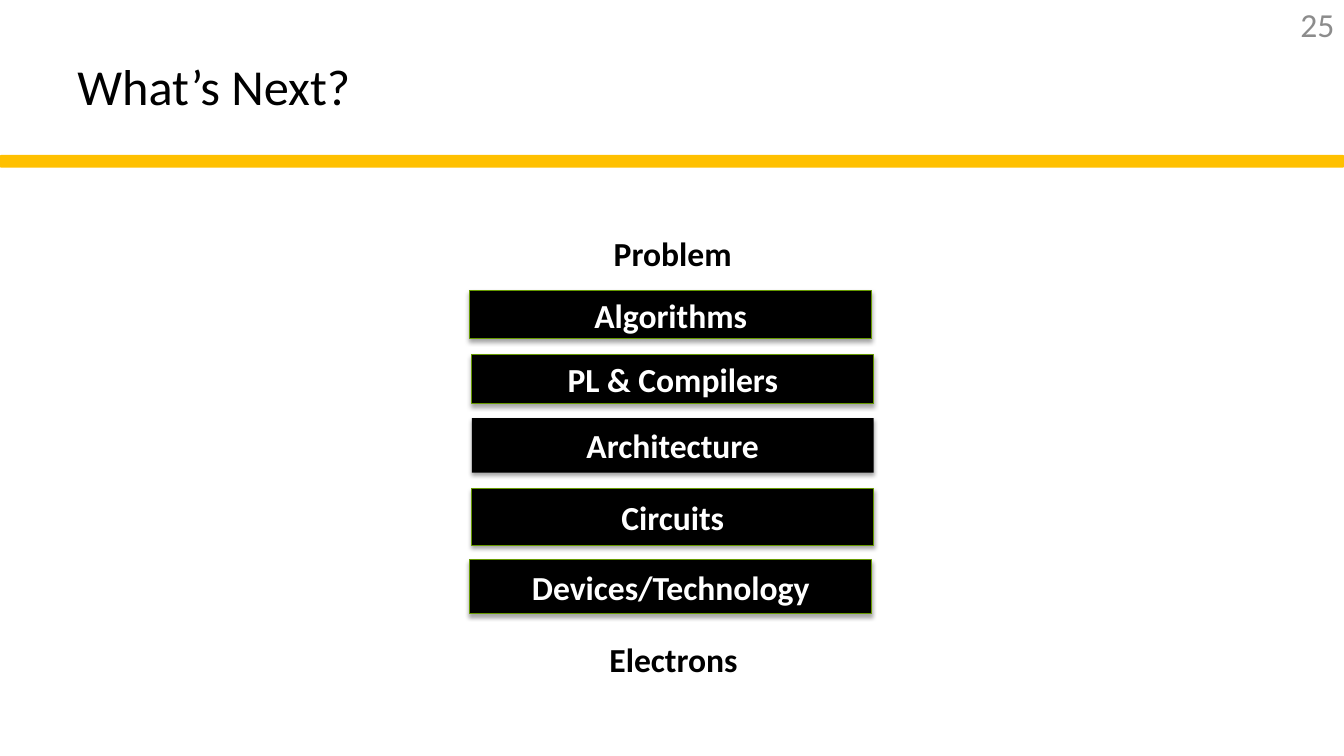
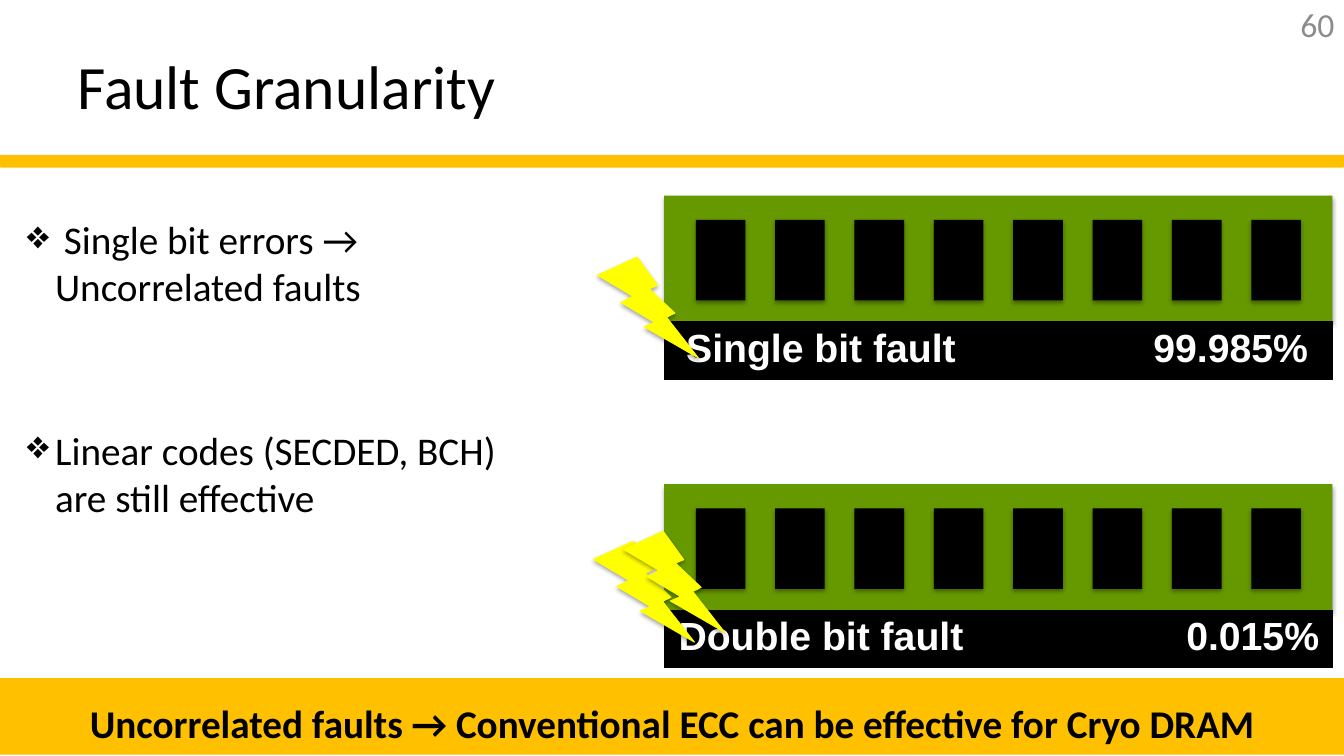
from typing import NamedTuple, Optional

from lxml import etree
from pptx import Presentation
from pptx.dml.color import RGBColor
from pptx.enum.shapes import MSO_SHAPE
from pptx.enum.text import MSO_ANCHOR, PP_ALIGN
from pptx.oxml.ns import qn
from pptx.util import Cm, Pt

RECTANGLE = MSO_SHAPE.RECTANGLE
ROUNDED = MSO_SHAPE.ROUNDED_RECTANGLE
BOLT = MSO_SHAPE.LIGHTNING_BOLT
TOP, MIDDLE = MSO_ANCHOR.TOP, MSO_ANCHOR.MIDDLE
LEFT, CENTER, RIGHT = PP_ALIGN.LEFT, PP_ALIGN.CENTER, PP_ALIGN.RIGHT

BLACK, WHITE, GREY = "000000", "FFFFFF", "8C8C8C"
GOLD, GREEN, YELLOW = "FFC000", "669900", "FFFF00"
PAGE_WIDTH, PAGE_HEIGHT = 33.87, 19.05


class Area(NamedTuple):
    """Left, top, width and height in centimetres."""
    left: float
    top: float
    width: float
    height: float


class Style(NamedTuple):
    size: float
    color: str = BLACK
    bold: bool = False
    font: str = "Calibri"


class Layer(NamedTuple):
    text: str
    left: float
    top: float
    height: float
    line: Optional[str] = GREEN


class Module(NamedTuple):
    top: float
    label: str
    share: str
    right_margin: float
    bolts: tuple[tuple[float, float], ...]


# Content
STACK_WIDTH = 10.13
STACK_ENDS = (
    Layer("Problem", 11.89, 5.69, 1.37),
    Layer("Electrons", 11.91, 15.93, 1.37),
)
STACK_LAYERS = (
    Layer("Algorithms", 11.84, 7.32, 1.22),
    Layer("PL & Compilers", 11.89, 8.94, 1.24),
    Layer("Architecture", 11.89, 10.54, 1.37, None),
    Layer("Circuits", 11.89, 12.32, 1.42),
    Layer("Devices/Technology", 11.84, 14.1, 1.37),
)
BULLETS = (
    (" Single bit errors → Uncorrelated faults", 0),
    ("Linear codes (SECDED, BCH) are still effective", 83),
)
MODULES = (
    Module(4.93, "Single bit fault", "99.985%", 0.62, ((15.06, 6.48),)),
    Module(12.2, "Double bit fault", "0.015%", 0.34,
           ((14.96, 13.64), (15.72, 13.39))),
)
BOARD_LEFT, BOARD_WIDTH, BOARD_HEIGHT = 16.74, 16.84, 3.18
CHIP_COUNT, CHIP_PITCH, CHIP_WIDTH, CHIP_HEIGHT = 8, 2.0, 1.25, 2.03
FAULT_COLUMNS, FAULT_HEIGHT = (7.9, 8.94), 1.45
BOLT_SIZE = 2.54


# Helpers
def rgb(color: str) -> RGBColor:
    return RGBColor.from_string(color)


def lengths(area: Area) -> list:
    return [Cm(value) for value in area]


def add_span(para, text: str, style: Style) -> None:
    span = para.add_run()
    span.text = text
    span.font.name = style.font
    span.font.size = Pt(style.size)
    span.font.bold = style.bold
    span.font.color.rgb = rgb(style.color)


def write(box, text: str, style: Style, align=LEFT) -> None:
    frame = box.text_frame
    frame.word_wrap = True
    frame.vertical_anchor = MIDDLE
    para = frame.paragraphs[0]
    para.alignment = align
    add_span(para, text, style)


def add_text(page, area: Area, text: str, style: Style, align=LEFT) -> None:
    write(page.shapes.add_textbox(*lengths(area)), text, style, align)


def add_shadow(shape) -> None:
    effects = shape._element.spPr.find(qn("a:effectLst"))
    shadow = etree.SubElement(effects, qn("a:outerShdw"), blurRad="40000",
                              dist="23000", dir="5400000", rotWithShape="0")
    color = etree.SubElement(shadow, qn("a:srgbClr"), val=BLACK)
    etree.SubElement(color, qn("a:alpha"), val="35000")


def add_block(page, kind, area: Area, fill: str, line: Optional[str] = None,
              line_width: float = 0.75, shadow: bool = True):
    shape = page.shapes.add_shape(kind, *lengths(area))
    shape.fill.solid()
    shape.fill.fore_color.rgb = rgb(fill)
    if line:
        shape.line.color.rgb = rgb(line)
        shape.line.width = Pt(line_width)
    else:
        shape.line.fill.background()
    shape.shadow.inherit = False
    if shadow:
        add_shadow(shape)
    return shape


def add_page(deck, title: str, title_size: float, number: str):
    """Blank page with the shared band, title and page number."""
    page = deck.slides.add_slide(deck.slide_layouts[6])
    add_block(page, ROUNDED, Area(0, 3.94, PAGE_WIDTH, 0.25), GOLD, GOLD, 2, False)
    add_text(page, Area(1.7, 0.56, 22.58, 3.18), title, Style(title_size))
    add_text(page, Area(32.08, 0, 1.8, 1.22), number, Style(24, GREY), RIGHT)
    return page


def add_bullets(page, area: Area) -> None:
    frame = page.shapes.add_textbox(*lengths(area)).text_frame
    frame.word_wrap = True
    frame.vertical_anchor = TOP
    for index, (text, space) in enumerate(BULLETS):
        para = frame.add_paragraph() if index else frame.paragraphs[0]
        properties = para._p.get_or_add_pPr()
        properties.set("marL", str(Cm(0.71)))
        properties.set("indent", str(Cm(-0.71)))
        etree.SubElement(properties, qn("a:buChar"), char="❖")
        if space:
            para.space_before = Pt(space)
        add_span(para, text, Style(28))


def add_cell_borders(cell) -> None:
    properties = cell._tc.get_or_add_tcPr()
    for side in ("lnL", "lnR", "lnT", "lnB"):
        border = etree.SubElement(properties, qn(f"a:{side}"), w=str(Pt(1)))
        fill = etree.SubElement(border, qn("a:solidFill"))
        etree.SubElement(fill, qn("a:srgbClr"), val=BLACK)


def add_fault_table(page, module: Module) -> None:
    area = Area(BOARD_LEFT, module.top + BOARD_HEIGHT, BOARD_WIDTH, FAULT_HEIGHT)
    table = page.shapes.add_table(1, 2, *lengths(area)).table
    table.first_row = table.horz_banding = False
    style = Style(28, WHITE, True, "Arial")
    for index, (text, align) in enumerate(((module.label, CENTER), (module.share, RIGHT))):
        table.columns[index].width = Cm(FAULT_COLUMNS[index])
        cell = table.cell(0, index)
        add_cell_borders(cell)
        cell.fill.solid()
        cell.fill.fore_color.rgb = rgb(BLACK)
        para = cell.text_frame.paragraphs[0]
        para.alignment = align
        add_span(para, text, style)
    table.cell(0, 1).margin_right = Cm(module.right_margin)


def add_module(page, module: Module) -> None:
    """Memory board with its chips, fault table and lightning bolts."""
    add_block(page, RECTANGLE,
              Area(BOARD_LEFT, module.top, BOARD_WIDTH, BOARD_HEIGHT), GREEN)
    row_width = (CHIP_COUNT - 1) * CHIP_PITCH + CHIP_WIDTH
    first_left = BOARD_LEFT + (BOARD_WIDTH - row_width) / 2
    for index in range(CHIP_COUNT):
        add_block(page, RECTANGLE,
                  Area(first_left + index * CHIP_PITCH, module.top + 0.61,
                       CHIP_WIDTH, CHIP_HEIGHT), BLACK)
    add_fault_table(page, module)
    for left, top in module.bolts:
        add_block(page, BOLT, Area(left, top, BOLT_SIZE, BOLT_SIZE), YELLOW, YELLOW)


# Pages
def add_stack_page(deck) -> None:
    page = add_page(deck, "What’s Next?", 36, "25")
    for layer in STACK_ENDS:
        add_text(page, Area(layer.left, layer.top, STACK_WIDTH, layer.height),
                 layer.text, Style(24, BLACK, True), CENTER)
    for layer in STACK_LAYERS:
        area = Area(layer.left, layer.top, STACK_WIDTH, layer.height)
        block = add_block(page, RECTANGLE, area, BLACK, layer.line)
        write(block, layer.text, Style(24, WHITE, True), CENTER)


def add_fault_page(deck) -> None:
    page = add_page(deck, "Fault Granularity", 44, "60")
    banner = add_block(page, RECTANGLE, Area(0, 17.09, PAGE_WIDTH, 1.93), GOLD,
                       shadow=False)
    banner.text_frame.margin_top = Cm(0.43)
    write(banner,
          "Uncorrelated faults → Conventional ECC can be effective for Cryo DRAM",
          Style(28, BLACK, True), CENTER)
    add_bullets(page, Area(0.43, 5.31, 13.39, 11.53))
    for module in MODULES:
        add_module(page, module)


def main() -> None:
    deck = Presentation()
    deck.slide_width, deck.slide_height = Cm(PAGE_WIDTH), Cm(PAGE_HEIGHT)
    add_stack_page(deck)
    add_fault_page(deck)
    deck.save("out.pptx")


if __name__ == "__main__":
    main()
